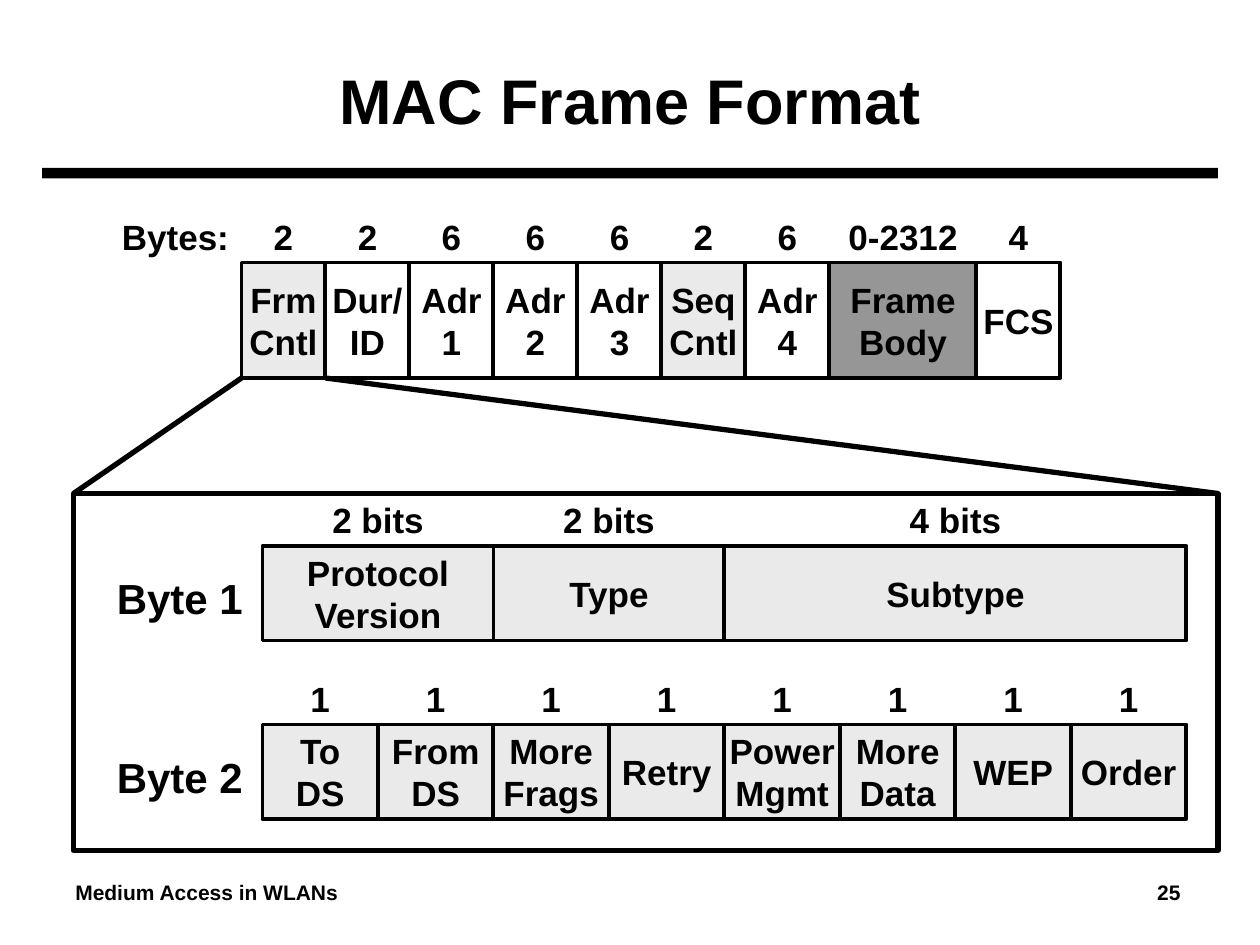
"""Build the MAC frame format slide."""
from itertools import accumulate

from lxml.etree import SubElement
from pptx import Presentation
from pptx.dml.color import RGBColor
from pptx.enum.shapes import MSO_CONNECTOR, MSO_SHAPE
from pptx.enum.text import MSO_ANCHOR, PP_ALIGN
from pptx.oxml.ns import qn
from pptx.util import Emu, Pt

BLACK, WHITE, LIGHT, GRAY = "000000", "FFFFFF", "EAEAEA", "969696"
TITLE = "MAC Frame Format"
FOOTER = "Medium Access in WLANs\t25"
FOOTER_TAB = 842
LABEL_HEIGHT = 40

FRAME_FIELDS = [
    ("2", "Frm\nCntl", 64, LIGHT),
    ("2", "Dur/\nID", 64, WHITE),
    ("6", "Adr\n1", 64, WHITE),
    ("6", "Adr\n2", 64, WHITE),
    ("6", "Adr\n3", 64, WHITE),
    ("2", "Seq\nCntl", 64, LIGHT),
    ("6", "Adr\n4", 64, WHITE),
    ("0-2312", "Frame\nBody", 112, GRAY),
    ("4", "FCS", 64, WHITE),
]
BYTE_1_FIELDS = [
    ("2 bits", "Protocol\nVersion", 176, LIGHT),
    ("2 bits", "Type", 176, LIGHT),
    ("4 bits", "Subtype", 352, LIGHT),
]
BYTE_2_NAMES = ["To\nDS", "From\nDS", "More\nFrags", "Retry",
                "Power\nMgmt", "More\nData", "WEP", "Order"]
BYTE_2_FIELDS = [("1", name, 88, LIGHT) for name in BYTE_2_NAMES]

ROWS = [
    (184, 200, 88, FRAME_FIELDS),
    (200, 416, 72, BYTE_1_FIELDS),
    (200, 552, 72, BYTE_2_FIELDS),
]
BYTE_LABELS = [("Byte 1", 432), ("Byte 2", 568)]
PANEL = (56, 376, 872, 272)
ZOOM_LINES = [(56, 376, 184, 288), (248, 288, 928, 376)]


def px(*lengths):
    return [Emu(length * 9525) for length in lengths]


def color(value):
    return RGBColor.from_string(value)


def write(box, text, size=20, align=PP_ALIGN.CENTER, wrap=False):
    frame = box.text_frame
    frame.word_wrap = wrap
    frame.vertical_anchor = MSO_ANCHOR.MIDDLE
    para = frame.paragraphs[0]
    para.alignment = align
    for index, line in enumerate(text.split("\n")):
        if index:
            para.add_line_break()
        span = para.add_run()
        span.text = line
        span.font.name = "Arial"
        span.font.size = Pt(size)
        span.font.bold = True
        span.font.color.rgb = color(BLACK)


def add_label(page, area, text, **style):
    box = page.shapes.add_textbox(*px(*area))
    write(box, text, **style)


def add_rectangle(page, area, fill=None, line_width=None):
    box = page.shapes.add_shape(MSO_SHAPE.RECTANGLE, *px(*area))
    box.shadow.inherit = False
    if fill:
        box.fill.solid()
        box.fill.fore_color.rgb = color(fill)
    else:
        box.fill.background()
    if line_width:
        box.line.color.rgb = color(BLACK)
        box.line.width = Pt(line_width)
    else:
        box.line.fill.background()
    return box


def add_row(page, left, top, height, fields):
    offsets = accumulate((width for _, _, width, _ in fields), initial=left)
    for x, (length, name, width, fill) in zip(offsets, fields):
        cell = add_rectangle(page, (x, top, width, height), fill, 2.25)
        write(cell, name)
        add_label(page, (x, top - LABEL_HEIGHT, width, LABEL_HEIGHT), length)


def add_zoom_line(page, ends):
    line = page.shapes.add_connector(MSO_CONNECTOR.STRAIGHT, *px(*ends))
    line.line.color.rgb = color(BLACK)
    line.line.width = Pt(3)
    SubElement(line._element.spPr, qn("a:effectLst"))


def add_footer(page):
    box = page.shapes.add_textbox(*px(48, 656, 864, 48))
    properties = box.text_frame.paragraphs[0]._p.get_or_add_pPr()
    tabs = SubElement(properties, qn("a:tabLst"))
    SubElement(tabs, qn("a:tab"), pos=str(px(FOOTER_TAB)[0]), algn="r")
    write(box, FOOTER, size=12, align=PP_ALIGN.LEFT, wrap=True)


def main():
    deck = Presentation()
    deck.slide_width, deck.slide_height = px(960, 720)
    page = deck.slides.add_slide(deck.slide_layouts[5])

    title = page.shapes.title
    title.left, title.top, title.width, title.height = px(48, 24, 864, 104)
    write(title, TITLE, size=36, wrap=True)
    add_rectangle(page, (32, 128, 896, 8), BLACK)
    add_footer(page)

    for row in ROWS:
        add_row(page, *row)
    add_label(page, (72, 160, 112, LABEL_HEIGHT), "Bytes:", align=PP_ALIGN.RIGHT)
    for text, top in BYTE_LABELS:
        add_label(page, (75, top, 124, 47), text, size=24)

    add_rectangle(page, PANEL, line_width=3)
    for ends in ZOOM_LINES:
        add_zoom_line(page, ends)
    deck.save("out.pptx")


if __name__ == "__main__":
    main()
